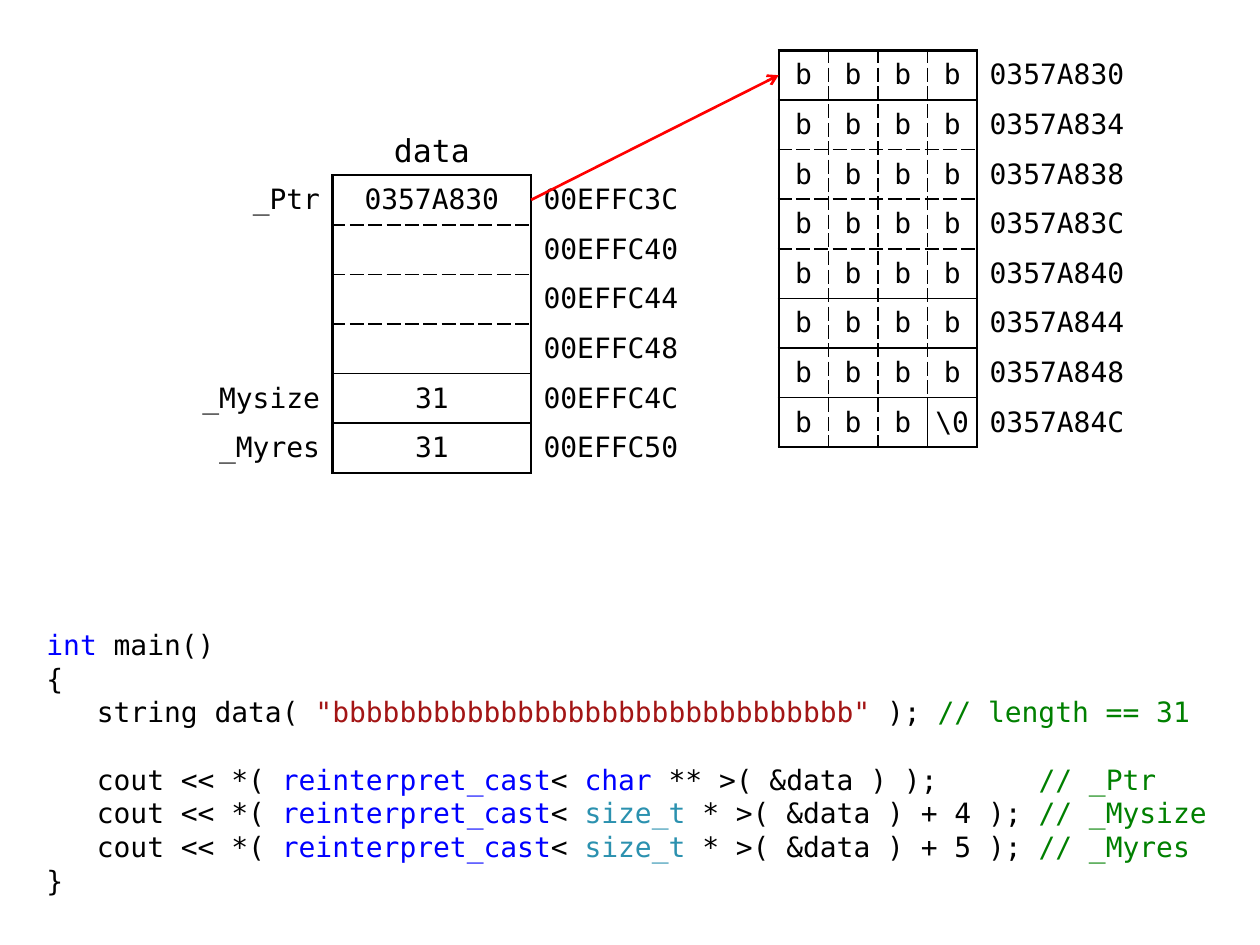
from dataclasses import dataclass

from lxml import etree
from pptx import Presentation
from pptx.dml.color import RGBColor
from pptx.enum.shapes import MSO_CONNECTOR
from pptx.enum.text import MSO_ANCHOR, PP_ALIGN
from pptx.oxml.ns import qn
from pptx.util import Inches, Pt

LEFT, CENTER, RIGHT = PP_ALIGN.LEFT, PP_ALIGN.CENTER, PP_ALIGN.RIGHT
MIDDLE = MSO_ANCHOR.MIDDLE
STRAIGHT = MSO_CONNECTOR.STRAIGHT


@dataclass(frozen=True)
class Theme:
    font: str = "DejaVu Sans Mono"
    body_size: int = 16
    title_size: int = 18
    code_pitch: float = 19.25
    ink: str = "000000"
    keyword: str = "0000FF"
    type_name: str = "2B91AF"
    string: str = "A31515"
    comment: str = "008000"
    pointer: str = "FF0000"


# Border kinds: width in points and dash
RULES = {"O": (1.5, "solid"), "-": (1, "solid"), ":": (1, "sysDash")}


class MemorySlide:
    def __init__(self, slide, theme):
        self.slide = slide
        self.theme = theme

    def style(self, font, color, size):
        font.name = self.theme.font
        font.size = Pt(size)
        font.color.rgb = RGBColor.from_string(color)

    def text_box(self, left, top, width, height):
        box = self.slide.shapes.add_textbox(
            Inches(left), Inches(top), Inches(width), Inches(height))
        box.text_frame.word_wrap = True
        return box.text_frame

    def title(self, text, left, top, width, height):
        frame = self.text_box(left, top, width, height)
        frame.text = text
        paragraph = frame.paragraphs[0]
        paragraph.alignment = CENTER
        self.style(paragraph.runs[0].font, self.theme.ink, self.theme.title_size)

    def code(self, lines, gap_before, left, top, width, height):
        frame = self.text_box(left, top, width, height)
        for number, line in enumerate(lines):
            paragraph = frame.add_paragraph() if number else frame.paragraphs[0]
            paragraph.line_spacing = Pt(self.theme.code_pitch)
            if number == gap_before:
                paragraph.space_before = Pt(self.theme.code_pitch)
            for text, color in line:
                run = paragraph.add_run()
                run.text = text
                self.style(run.font, color, self.theme.body_size)

    def border(self, cell, side, kind):
        properties = cell._tc.get_or_add_tcPr()
        edge = etree.SubElement(properties, qn(f"a:ln{side}"))
        if kind is None:
            edge.set("w", "0")
            etree.SubElement(edge, qn("a:noFill"))
            return
        width, dash = RULES[kind]
        edge.set("w", str(Pt(width)))
        fill = etree.SubElement(edge, qn("a:solidFill"))
        etree.SubElement(fill, qn("a:srgbClr"), val=self.theme.ink)
        etree.SubElement(edge, qn("a:prstDash"), val=dash)

    def memory(self, rows, left, top, widths, height, aligns, boxed,
               row_rules, column_rules, special_rules=None):
        """Table whose boxed columns are ruled; the others hold plain labels."""
        special_rules = special_rules or {}
        frame = self.slide.shapes.add_table(
            len(rows), len(widths), Inches(left), Inches(top),
            Inches(sum(widths)), Inches(height))
        table = frame.table
        table.first_row = table.horz_banding = False
        for column, width in zip(table.columns, widths):
            column.width = Inches(width)
        for row in table.rows:
            row.height = Inches(height / len(rows))

        def vertical(r, line):
            index = line - boxed[0]
            default = column_rules[index] if 0 <= index < len(column_rules) else None
            return special_rules.get((r, line), default)

        for r, values in enumerate(rows):
            for c, value in enumerate(values):
                cell = table.cell(r, c)
                ruled = c in boxed
                self.border(cell, "L", vertical(r, c))
                self.border(cell, "R", vertical(r, c + 1))
                self.border(cell, "T", row_rules[r] if ruled else None)
                self.border(cell, "B", row_rules[r + 1] if ruled else None)
                cell.fill.background()
                cell.vertical_anchor = MIDDLE
                cell.margin_left = cell.margin_right = Inches(0 if ruled else 0.1)
                cell.margin_top = cell.margin_bottom = Inches(0.04)
                paragraph = cell.text_frame.paragraphs[0]
                paragraph.text = value
                paragraph.alignment = aligns[c]
                self.style(paragraph.font, self.theme.ink, self.theme.body_size)
                for run in paragraph.runs:
                    self.style(run.font, self.theme.ink, self.theme.body_size)

    def arrow(self, start, end):
        line = self.slide.shapes.add_connector(
            STRAIGHT, *(Inches(value) for value in (*start, *end)))
        line.line.color.rgb = RGBColor.from_string(self.theme.pointer)
        line.line.width = Pt(1.5)
        etree.SubElement(line.line._get_or_add_ln(), qn("a:tailEnd"), type="arrow")
        etree.SubElement(line._element.spPr, qn("a:effectLst"))


def main():
    presentation = Presentation()
    presentation.slide_width, presentation.slide_height = Inches(10), Inches(7.5)
    theme = Theme()
    page = MemorySlide(
        presentation.slides.add_slide(presentation.slide_layouts[6]), theme)

    # Program listing
    def cast(type_name, color, rest, comment):
        return [("   cout << *( ", theme.ink), ("reinterpret_cast", theme.keyword),
                ("< ", theme.ink), (type_name, color), (rest, theme.ink),
                (comment, theme.comment)]

    page.code([
        [("int", theme.keyword), (" main()", theme.ink)],
        [("{", theme.ink)],
        [("   string data( ", theme.ink), ('"' + "b" * 31 + '" ', theme.string),
         ("); ", theme.ink), ("// length == 31", theme.comment)],
        cast("char", theme.keyword, " ** >( &data ) );      ", "// _Ptr"),
        cast("size_t ", theme.type_name, "* >( &data ) + 4 );", " // _Mysize"),
        cast("size_t ", theme.type_name, "* >( &data ) + 5 );", " // _Myres"),
        [("}", theme.ink)],
    ], 3, 0.27, 4.93, 9.45, 2.17)

    # The string object
    row_height, word_width, label_width = 0.394, 1.575, 1.38
    object_left, object_top = 1.26, 1.39
    members = [("_Ptr", "0357A830"), ("", ""), ("", ""), ("", ""),
               ("_Mysize", "31"), ("_Myres", "31")]
    object_rows = [(name, value, f"{0x00EFFC3C + 4 * i:08X}")
                   for i, (name, value) in enumerate(members)]
    page.memory(object_rows, object_left, object_top,
                [label_width, word_width, label_width],
                row_height * len(object_rows), [RIGHT, CENTER, LEFT],
                range(1, 2), "O:::--O", "OO")
    page.title("data", object_left + label_width, 0.99, word_width, 0.39)

    # The character buffer on the heap
    buffer_left, buffer_top = 6.18, 0.4
    characters = ["b"] * 31 + ["\\0"]
    buffer_rows = [(*characters[4 * i:4 * i + 4], f"{0x0357A830 + 4 * i:08X}")
                   for i in range(8)]
    page.memory(buffer_rows, buffer_left, buffer_top,
                [word_width / 4] * 4 + [label_width],
                row_height * len(buffer_rows), [CENTER] * 4 + [LEFT],
                range(4), "O-:::---O", "O:::O", {(7, 3): "-"})

    # Pointer to the buffer
    page.arrow((object_left + label_width + word_width, object_top + row_height / 2),
               (buffer_left, buffer_top + row_height / 2))

    presentation.save("out.pptx")


if __name__ == "__main__":
    main()
